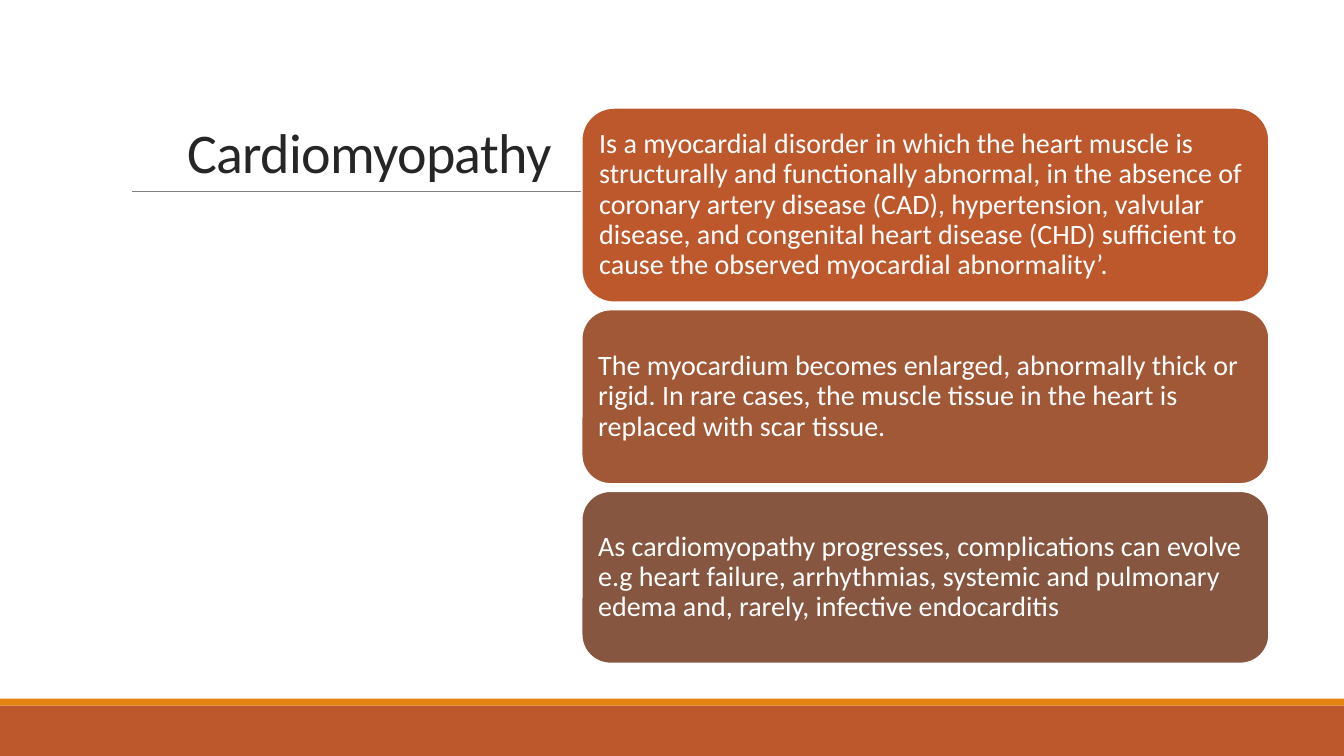
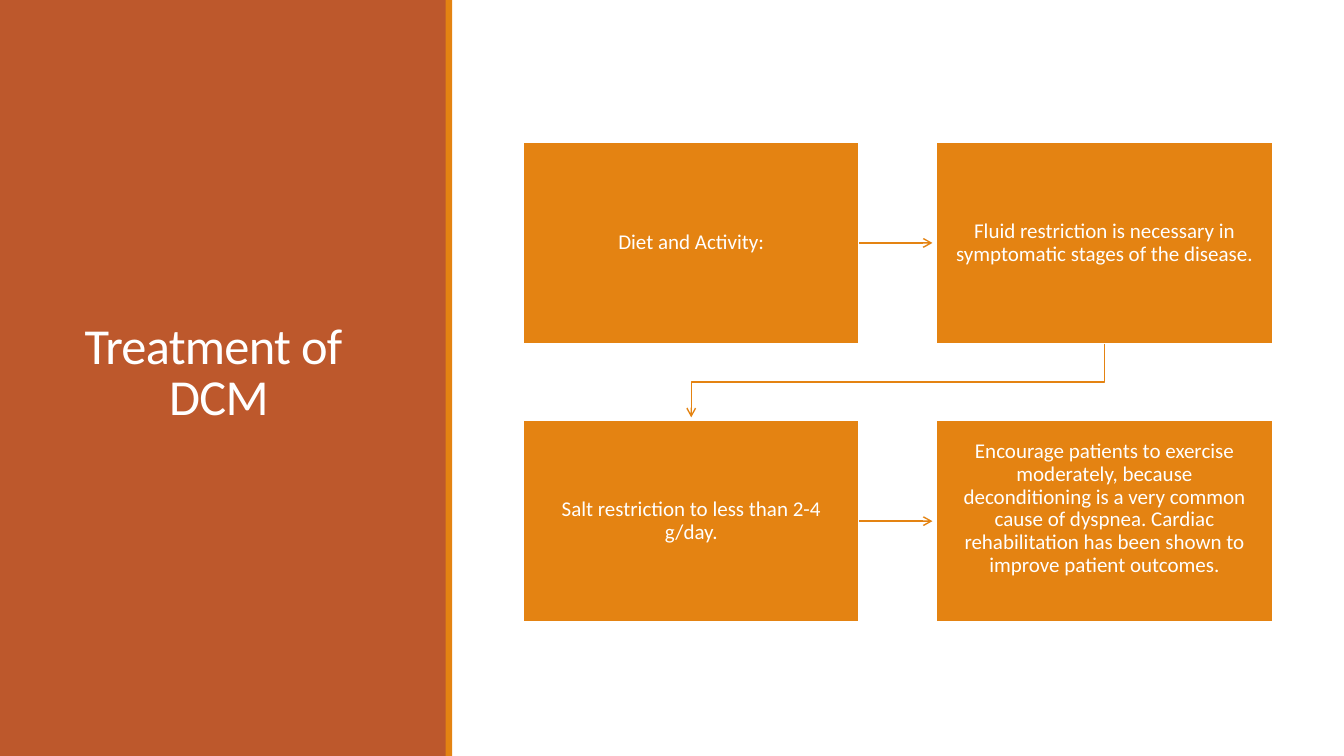
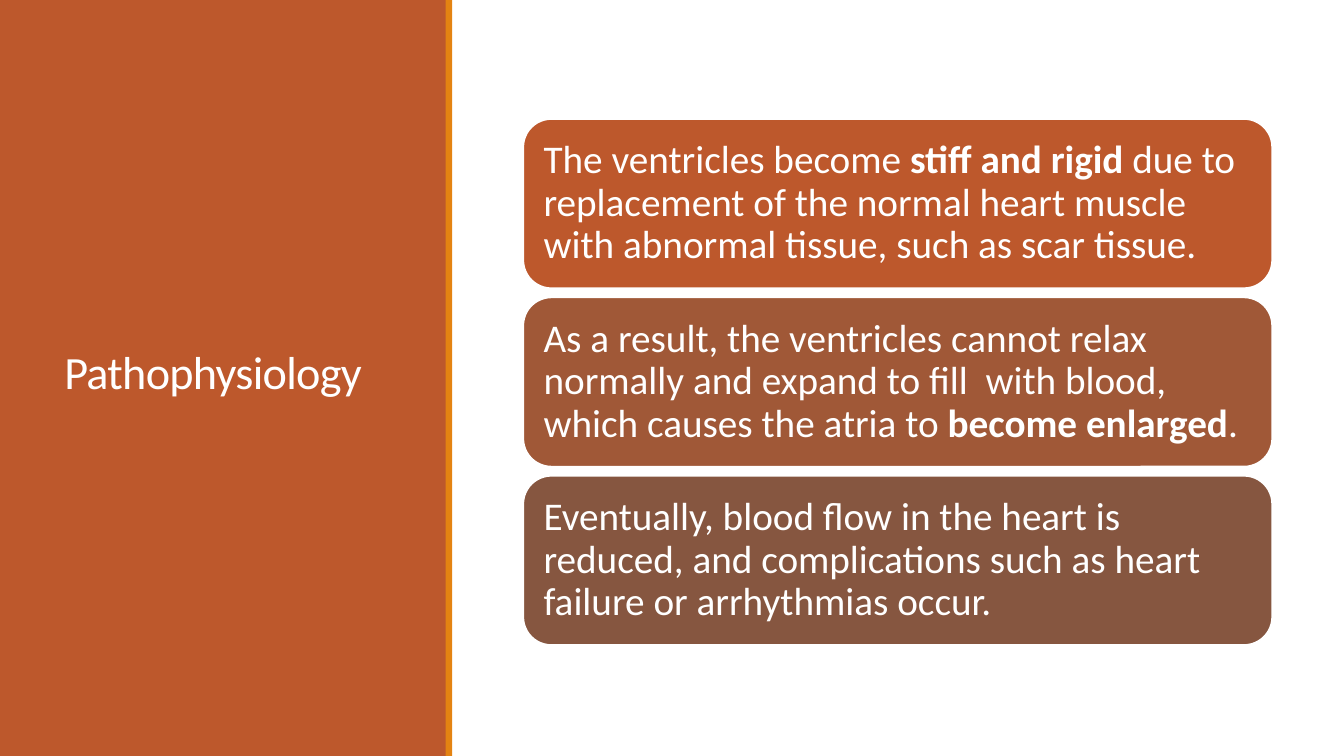
import lxml.etree
import pptx
import pptx.dml.color
import pptx.enum.shapes
import pptx.enum.text
import pptx.oxml.ns
import pptx.util

RUST = pptx.dml.color.RGBColor(0xBD, 0x58, 0x2C)
ORANGE = pptx.dml.color.RGBColor(0xE4, 0x83, 0x12)
SIENNA = pptx.dml.color.RGBColor(0xA0, 0x58, 0x37)
UMBER = pptx.dml.color.RGBColor(0x86, 0x56, 0x40)
GREY = pptx.dml.color.RGBColor(0x80, 0x80, 0x80)
INK = pptx.dml.color.RGBColor(0x26, 0x26, 0x26)
WHITE = pptx.dml.color.RGBColor(0xFF, 0xFF, 0xFF)

FONT = "Calibri"
CARD_COLORS = (RUST, SIENNA, UMBER)
SLIDE_WIDTH = pptx.util.Inches(13.33)
SLIDE_HEIGHT = pptx.util.Inches(7.5)

KIND = pptx.enum.shapes.MSO_SHAPE
ANCHOR = pptx.enum.text.MSO_ANCHOR
ALIGN = pptx.enum.text.PP_ALIGN

DEFINITION_CARDS = (
    ("Is a myocardial disorder in which the heart muscle is structurally and functionally abnormal, "
     "in the absence of coronary artery disease (CAD), hypertension, valvular disease, and congenital "
     "heart disease (CHD) sufficient to cause the observed myocardial abnormality’.",),
    ("The myocardium becomes enlarged, abnormally thick or rigid. In rare cases, the muscle tissue "
     "in the heart is replaced with scar tissue.",),
    ("As cardiomyopathy progresses, complications can evolve e.g heart failure, arrhythmias, systemic "
     "and pulmonary edema and, rarely, infective endocarditis",),
)
TREATMENT_STEPS = (
    "Diet and Activity:",
    "Fluid restriction is necessary in symptomatic stages of the disease.",
    "Salt restriction to less than 2-4 g/day.",
    "Encourage patients to exercise moderately, because deconditioning is a very common cause of "
    "dyspnea. Cardiac rehabilitation has been shown to improve patient outcomes.",
)
PATHOLOGY_CARDS = (
    ("The ventricles become ", "stiff and rigid ",
     "due to replacement of the normal heart muscle with abnormal tissue, such as scar tissue."),
    ("As a result, the ventricles cannot relax normally and expand to fill  with blood, "
     "which causes the atria to ", "become enlarged", "."),
    ("Eventually, blood flow in the heart is reduced, and complications such as heart failure "
     "or arrhythmias occur.",),
)


def across(percent):
    return round(SLIDE_WIDTH * percent / 100)


def down(percent):
    return round(SLIDE_HEIGHT * percent / 100)


def place(left, top, width, height):
    return across(left), down(top), across(width), down(height)


def add_block(slide, kind, area, color, outlined=False):
    block = slide.shapes.add_shape(kind, *place(*area))
    block.shadow.inherit = False
    block.fill.solid()
    block.fill.fore_color.rgb = color
    if outlined:
        block.line.color.rgb = WHITE
        block.line.width = pptx.util.Pt(1.25)
    else:
        block.line.fill.background()
    return block


def style_paragraph(paragraph, size, color, align, spacing):
    paragraph.alignment = align
    paragraph.line_spacing = spacing
    paragraph.font.name = FONT
    paragraph.font.size = pptx.util.Pt(size)
    paragraph.font.color.rgb = color


def add_title(slide, text, area, size, color=WHITE, align=ALIGN.CENTER, anchor=ANCHOR.MIDDLE):
    frame = slide.shapes.add_textbox(*place(*area)).text_frame
    frame.word_wrap = True
    frame.vertical_anchor = anchor
    title = frame.paragraphs[0]
    title.text = text
    style_paragraph(title, size, color, align, 0.85)
    for run in title.runs:
        run._r.get_or_add_rPr().set("spc", "-50")


def write_in(block, parts, size, align, side_inset, end_inset):
    frame = block.text_frame
    frame.word_wrap = True
    frame.vertical_anchor = ANCHOR.MIDDLE
    frame.margin_left = frame.margin_right = pptx.util.Inches(side_inset)
    frame.margin_top = frame.margin_bottom = pptx.util.Inches(end_inset)
    paragraph = frame.paragraphs[0]
    style_paragraph(paragraph, size, WHITE, align, 0.9)
    for index, part in enumerate(parts):
        run = paragraph.add_run()
        run.text = part
        if index % 2:
            run.font.bold = True


def add_card_stack(slide, cards, left, top, width, heights, gap, size, inset):
    for parts, height, color in zip(cards, heights, CARD_COLORS):
        card = add_block(slide, KIND.ROUNDED_RECTANGLE, (left, top, width, height), color, True)
        write_in(card, parts, size, ALIGN.LEFT, inset, inset)
        top += height + gap


def style_line(line, color, width, arrow=False):
    line.color.rgb = color
    line.width = pptx.util.Pt(width)
    if arrow:
        ln = line._get_or_add_ln()
        lxml.etree.SubElement(ln, pptx.oxml.ns.qn("a:tailEnd"), type="arrow")


def add_straight(slide, start, end, color, width, arrow=False):
    connector = slide.shapes.add_connector(
        pptx.enum.shapes.MSO_CONNECTOR.STRAIGHT, *start, *end)
    style_line(connector.line, color, width, arrow)
    lxml.etree.SubElement(connector._element.spPr, pptx.oxml.ns.qn("a:effectLst"))
    return connector


def add_bent_arrow(slide, points):
    builder = slide.shapes.build_freeform(*points[0])
    builder.add_line_segments(points[1:], close=False)
    bend = builder.convert_to_shape()
    bend.shadow.inherit = False
    bend.fill.background()
    style_line(bend.line, ORANGE, 1, True)


def add_bottom_bands(slide):
    add_block(slide, KIND.RECTANGLE, (0, 93.33, 100, 6.67), RUST)
    add_block(slide, KIND.RECTANGLE, (0, 92.4, 100, 0.93), ORANGE)


def add_side_panel(slide):
    add_block(slide, KIND.RECTANGLE, (0, 0, 33.2, 100), RUST)
    add_block(slide, KIND.RECTANGLE, (33.15, 0, 0.5, 100), ORANGE)


def add_step_flow(slide):
    left, top, width, height = 38.93, 18.8, 25, 26.67
    column_step, row_step, tip_gap = 30.75, 36.8, 0.3
    steps = []
    for index, text in enumerate(TREATMENT_STEPS):
        row, column = divmod(index, 2)
        area = (left + column * column_step, top + row * row_step, width, height)
        step = add_block(slide, KIND.RECTANGLE, area, ORANGE, True)
        write_in(step, (text,), 15, ALIGN.CENTER, 0.16, 0.17)
        steps.append(step)
    steps[-1].text_frame.margin_bottom = pptx.util.Inches(0.42)

    for source, target in (steps[:2], steps[2:]):
        middle = source.top + source.height // 2
        arrow = add_straight(slide, (source.left + source.width, middle),
                             (target.left - across(tip_gap), middle), ORANGE, 1, True)
        arrow.begin_connect(source, 3)

    upper, lower = steps[1], steps[2]
    start_x = upper.left + upper.width // 2
    end_x = lower.left + lower.width // 2
    start_y = upper.top + upper.height
    bend_y = (start_y + lower.top) // 2
    add_bent_arrow(slide, [(start_x, start_y), (start_x, bend_y), (end_x, bend_y),
                           (end_x, lower.top - down(0.4))])


def build_definition(slide):
    cards_left = 43.28
    add_bottom_bands(slide)
    add_straight(slide, (across(9.83), down(25.33)), (across(cards_left), down(25.33)), GREY, 0.5)
    add_title(slide, "Cardiomyopathy", (12.9, 5.07, 29.18, 20.1), 40, INK, anchor=ANCHOR.BOTTOM)
    add_card_stack(slide, DEFINITION_CARDS, cards_left, 14.27, 51.15,
                   (25.73, 23.07, 22.8), 0.95, 20, 0.08)


def build_treatment(slide):
    add_side_panel(slide)
    add_title(slide, "Treatment of \vDCM", (1.88, 22, 28.8, 55.07), 36)
    add_step_flow(slide)


def build_pathophysiology(slide):
    add_side_panel(slide)
    add_title(slide, "Pathophysiology", (4.05, 7.6, 25.28, 84.13), 33, align=ALIGN.LEFT)
    add_card_stack(slide, PATHOLOGY_CARDS, 38.93, 15.73, 55.73, (22.4,) * 3, 1.2, 28, 0.12)


def main():
    deck = pptx.Presentation()
    deck.slide_width = SLIDE_WIDTH
    deck.slide_height = SLIDE_HEIGHT
    for build in (build_definition, build_treatment, build_pathophysiology):
        build(deck.slides.add_slide(deck.slide_layouts[6]))
    deck.save("out.pptx")


if __name__ == "__main__":
    main()
